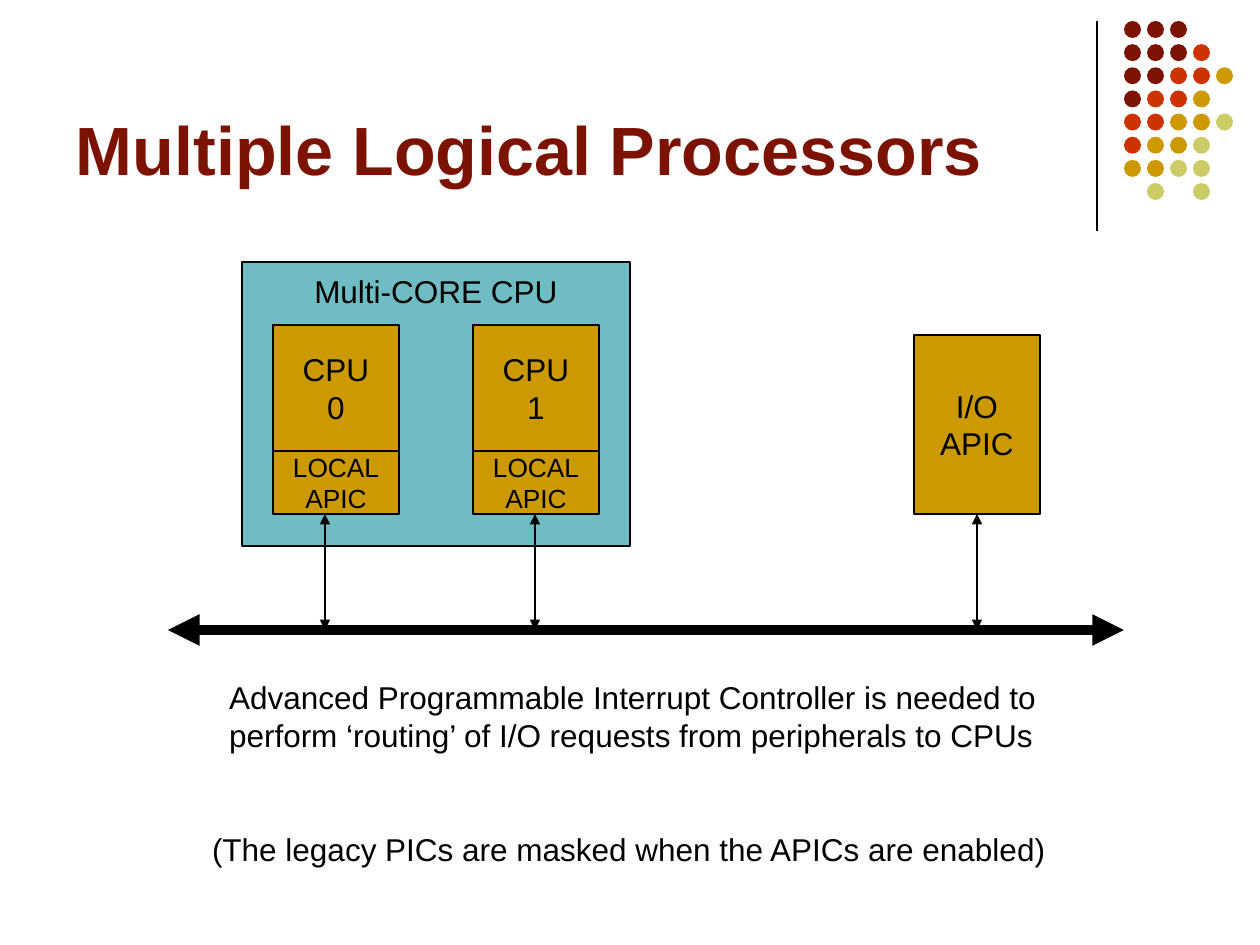
import pptx
import pptx.util
import pptx.dml.color
import pptx.enum.shapes
import pptx.enum.text
import pptx.oxml
import pptx.oxml.ns

SCALE = 914400 / 126
INK, MAROON, GOLD, TEAL = "000000", "7C1302", "CC9900", "6FBDC3"
DOT_COLOURS = {"m": MAROON, "r": "CC3300", "g": GOLD, "l": "CCCC66"}
DOT_ROWS = ["mmm", "mmmr", "mmrrg", "mrrg", "rrggl", "rggl", "ggll", " l l"]
SHAPE = pptx.enum.shapes.MSO_SHAPE
ALIGN = pptx.enum.text.PP_ALIGN
ANCHOR = pptx.enum.text.MSO_ANCHOR
THIN = 0.74


def px(length):
    return pptx.util.Emu(round(length * SCALE))


def colour(value):
    return pptx.dml.color.RGBColor.from_string(value)


def assign(target, values):
    for name, value in values.items():
        setattr(target, name, value)


def write(frame, lines, size=18, ink=INK, bold=False, align=ALIGN.CENTER, **layout):
    assign(frame, {"margin_left": px(13), "margin_right": px(13),
                   "margin_top": px(6), "margin_bottom": px(6),
                   "word_wrap": False, **layout})
    for number, line in enumerate(lines):
        para = frame.add_paragraph() if number else frame.paragraphs[0]
        para.alignment = align
        span = para.add_run()
        span.text = line
        assign(span.font, {"name": "Arial", "size": pptx.util.Pt(size), "bold": bold})
        span.font.color.rgb = colour(ink)


def add_shape(shapes, kind, box, fill, outlined=False):
    shape = shapes.add_shape(kind, *map(px, box))
    shape.shadow.inherit = False
    shape.fill.solid()
    shape.fill.fore_color.rgb = colour(fill)
    if outlined:
        shape.line.color.rgb = colour(INK)
        shape.line.width = pptx.util.Pt(THIN)
    else:
        shape.line.fill.background()
    return shape


def add_block(page, box, fill, lines, size=18, **layout):
    block = add_shape(page.shapes, SHAPE.RECTANGLE, box, fill, True)
    write(block.text_frame, lines, size,
          **{"vertical_anchor": ANCHOR.MIDDLE, **layout})


def add_line(page, start, end, width=THIN, arrows=True):
    line = page.shapes.add_connector(
        pptx.enum.shapes.MSO_CONNECTOR.STRAIGHT, *map(px, start + end))
    line.line.color.rgb = colour(INK)
    line.line.width = pptx.util.Pt(width)
    if arrows:
        for tag in ("a:headEnd", "a:tailEnd"):
            end_mark = pptx.oxml.parse_xml(
                f'<{tag} {pptx.oxml.ns.nsdecls("a")} type="triangle"/>')
            line.line._get_or_add_ln().append(end_mark)
    line._element.spPr.append(
        pptx.oxml.parse_xml(f'<a:effectLst {pptx.oxml.ns.nsdecls("a")}/>'))


def add_text(page, box, lines, **values):
    text = page.shapes.add_textbox(*map(px, box))
    write(text.text_frame, lines, align=ALIGN.LEFT, **values)
    return text.text_frame.paragraphs


def add_dots(page, box, size=17):
    left, top, width, height = box
    column_step = (width - size) / (max(map(len, DOT_ROWS)) - 1)
    row_step = (height - size) / (len(DOT_ROWS) - 1)
    dots = page.shapes.add_group_shape()
    for row, letters in enumerate(DOT_ROWS):
        for column, letter in enumerate(letters):
            if letter in DOT_COLOURS:
                place = (left + column * column_step, top + row * row_step, size, size)
                add_shape(dots.shapes, SHAPE.OVAL, place, DOT_COLOURS[letter])


def add_header(page, box):
    left, top, width, height = box
    rule = left + 1034
    add_line(page, (rule, top + 5), (rule, top + 215), arrows=False)
    add_dots(page, (left + 1061, top + 5, 109, 179))
    add_text(page, (left, top, 1040, height), ["Multiple Logical Processors"],
             size=39, ink=MAROON, bold=True, word_wrap=True,
             vertical_anchor=ANCHOR.BOTTOM)


def add_core(page, box, number):
    left, top, width, height = box
    cpu_height = height * 2 // 3
    add_block(page, (left, top, width, cpu_height), GOLD, ["CPU", str(number)])
    add_block(page, (left, top + cpu_height, width, height - cpu_height), GOLD,
              ["LOCAL", "APIC"], size=15, margin_top=0, margin_bottom=0)


def add_diagram(page, box):
    left, top, width, height = box
    bus = top + height
    block_bottom = top + 252
    add_block(page, (left + 74, top, 388, 284), TEAL, ["Multi-CORE CPU"],
              vertical_anchor=ANCHOR.TOP, margin_top=px(10))
    for number, offset in enumerate((105, 305)):
        add_core(page, (left + offset, top + 63, 126, 189), number)
    add_block(page, (left + 746, top + 73, 126, 179), GOLD, ["I/O", "APIC"])
    add_line(page, (left, bus), (left + width, bus), width=6)
    for offset in (157, 367, 809):
        add_line(page, (left + offset, block_bottom), (left + offset, bus))


def add_notes(page, box):
    paras = add_text(page, box, [
        "Advanced Programmable Interrupt Controller is needed to",
        "perform ‘routing’ of I/O requests from peripherals to CPUs",
        "(The legacy PICs are masked when the APICs are enabled)"])
    for para in paras[:2]:
        para._p.get_or_add_pPr().set("marL", str(px(17)))
    paras[2].space_before = pptx.util.Pt(43.5)


deck = pptx.Presentation()
assign(deck, {"slide_width": px(1260), "slide_height": px(945)})
page = deck.slides.add_slide(deck.slide_layouts[6])
add_header(page, (63, 16, 1170, 179))
add_diagram(page, (168, 262, 956, 368))
add_notes(page, (199, 672, 861, 202))
deck.save("out.pptx")
